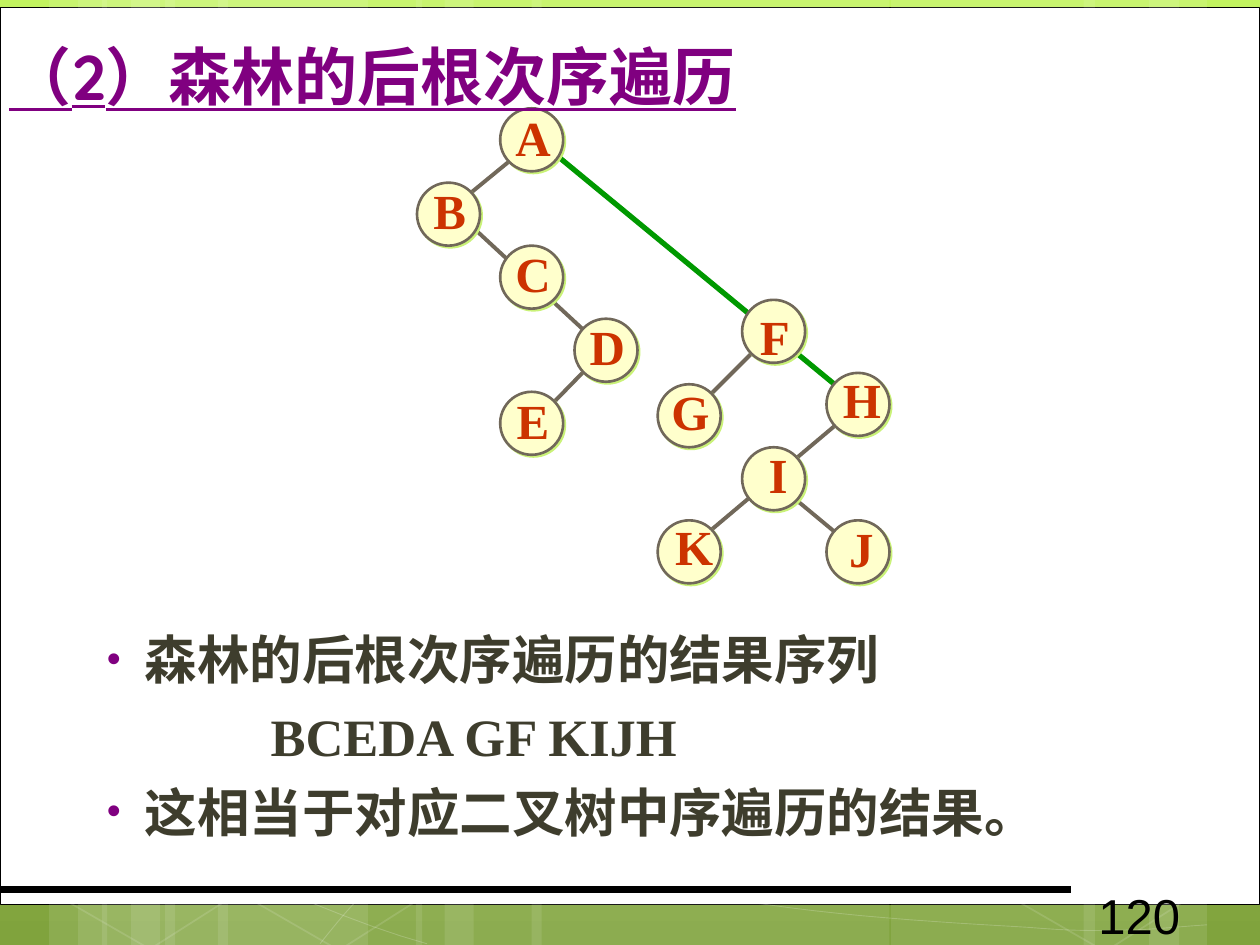
"""Build the slide on post-order traversal of a forest."""
from lxml import etree
from pptx import Presentation
from pptx.dml.color import RGBColor
from pptx.enum.shapes import MSO_CONNECTOR as LINK, MSO_SHAPE as SHAPE
from pptx.enum.text import MSO_ANCHOR as ANCHOR, PP_ALIGN as ALIGN
from pptx.oxml.ns import qn
from pptx.util import Inches, Pt

COLORS = {
    "top": "C2F35F", "base": "80A33D", "white": "FFFFFF", "black": "000000",
    "node": "FFFFCC", "edge": "71685A", "root": "009900", "glow": "CAF278",
    "letter": "CC3300", "title": "800080", "body": "3E3D2D",
}
SERIF = "Times New Roman"
BANDS = [(1.31, 1.61), (0.39, 0.46), (0.62, 0.77), (1.73, 1.62), (0.81, 0.46),
         (1.04, 0.77), (7.07, 1.62), (9.12, 0.46), (8.6, 0.76), (4.22, 2.84),
         (3.3, 0.46), (3.53, 0.77)]
CURVES = [
    [(0.36, 6.17), (1.47, 6.72), (2.58, 7.27), (3.39, 7.49)],
    [(0.37, 5.78), (0.66, 5.89), (0.95, 6), (1.49, 6.16), (2.02, 6.31),
     (2.82, 6.56), (3.59, 6.73), (4.36, 6.9), (5.33, 7.08), (6.09, 7.18),
     (6.85, 7.29), (7.67, 7.33), (8.16, 7.36), (8.64, 7.4), (8.77, 7.38),
     (9.01, 7.38), (9.24, 7.37), (9.41, 7.35), (9.58, 7.34)],
    [(2.54, 7.49), (2.7, 7.29), (2.86, 7.09), (3.09, 6.91)],
]
HEXES = [(0.41, 5.91), (1.91, 5.92), (7.99, 5.93)]
EDGES = [
    (4.39, 1.21, 6.72, 3.13, "root", 3), (4.72, 2.86, 4.31, 3.28, "edge", 2.25),
    (3.64, 1.7, 4.72, 2.7, "edge", 2.25), (4.14, 1.2, 3.64, 1.61, "edge", 2.25),
    (6.31, 3.96, 6.72, 4.3, "edge", 2.25), (6.72, 3.3, 5.64, 4.21, "edge", 2.25),
    (6.06, 2.71, 5.56, 3.21, "edge", 2.25),
]
NODES = {
    "A": (3.97, 0.86, 3.99, 0.8, 0.48), "B": (3.31, 1.45, 3.34, 1.38, 0.46),
    "C": (3.97, 1.95, 3.99, 1.88, 0.48), "D": (4.56, 2.53, 4.58, 2.46, 0.48),
    "E": (3.97, 3.11, 4, 3.05, 0.46), "F": (5.89, 2.38, 5.93, 2.38, 0.44),
    "G": (5.22, 3.05, 5.23, 2.98, 0.5), "H": (6.56, 2.96, 6.59, 2.88, 0.5),
    "I": (5.89, 3.55, 6, 3.48, 0.35), "J": (6.56, 4.13, 6.64, 4.06, 0.39),
    "K": (5.22, 4.13, 5.26, 4.05, 0.5),
}


def rgb(name):
    """Return a named colour."""
    return RGBColor.from_string(COLORS[name])


def fade(part, share):
    """Set the opacity, in percent, of a solid fill."""
    color = part.find(".//" + qn("a:srgbClr"))
    etree.SubElement(color, qn("a:alpha"), val=str(share * 1000))


def style(shape, fill=None, line=None, width=1):
    """Give a shape its fill and line, without a shadow."""
    shape.shadow.inherit = False
    if fill:
        shape.fill.solid()
        shape.fill.fore_color.rgb = rgb(fill)
    else:
        shape.fill.background()
    if line:
        shape.line.color.rgb = rgb(line)
        shape.line.width = Pt(width)
    else:
        shape.line.fill.background()


def add_shape(slide, kind, x, y, w, h, **look):
    """Add a styled preset shape."""
    shape = slide.shapes.add_shape(kind, Inches(x), Inches(y), Inches(w), Inches(h))
    style(shape, **look)
    return shape


def add_line(slide, x1, y1, x2, y2, color, width):
    """Add a straight line without a shadow."""
    line = slide.shapes.add_connector(
        LINK.STRAIGHT, Inches(x1), Inches(y1), Inches(x2), Inches(y2))
    line.line.color.rgb = rgb(color)
    line.line.width = Pt(width)
    etree.SubElement(line._element.spPr, qn("a:effectLst"))


def add_curve(slide, knots):
    """Add a faint curve through a chain of cubic segments."""
    spots = []
    for i in range(0, len(knots) - 1, 3):
        for step in range(1, 13):
            t = step / 12
            mix = ((1 - t) ** 3, 3 * t * (1 - t) ** 2, 3 * t * t * (1 - t), t ** 3)
            spots.append(tuple(
                Inches(sum(m * k[axis] for m, k in zip(mix, knots[i:i + 4])))
                for axis in (0, 1)))
    x, y = knots[0]
    pen = slide.shapes.build_freeform(Inches(x), Inches(y))
    pen.add_line_segments(spots, close=False)
    curve = pen.convert_to_shape()
    style(curve, line="white", width=0.5)
    fade(curve.line._ln, 20)


def set_font(para, name, size, color, bold=False):
    """Set the font of a paragraph."""
    font = para.font
    font.name, font.size, font.bold = name, Pt(size), bold
    font.color.rgb = rgb(color)


def add_text(slide, x, y, w, h, text, name, size, color, bold=False, wrap=True):
    """Add a text box of one paragraph and return its frame."""
    box = slide.shapes.add_textbox(Inches(x), Inches(y), Inches(w), Inches(h))
    frame = box.text_frame
    frame.word_wrap = wrap
    frame.text = text
    set_font(frame.paragraphs[0], name, size, color, bold)
    return frame


def add_node(slide, letter, x, y, left, top, wide):
    """Add a tree node with its letter."""
    disc = add_shape(slide, SHAPE.OVAL, x, y, 0.5, 0.5,
                     fill="node", line="edge", width=1.5)
    effects = disc._element.spPr.find(qn("a:effectLst"))
    glow = etree.SubElement(effects, qn("a:outerShdw"), dist=str(Pt(1.4)),
                            dir="2700000", algn="ctr", rotWithShape="0")
    etree.SubElement(glow, qn("a:srgbClr"), val=COLORS["glow"])
    frame = add_text(slide, left, top, wide, 0.57, letter, SERIF, 28,
                     "letter", True, wrap=False)
    frame.vertical_anchor = ANCHOR.MIDDLE
    frame.paragraphs[0].alignment = ALIGN.CENTER


def add_back(slide):
    """Draw the green ground, the white panel and the faint pattern."""
    fill = slide.background.fill
    fill.gradient()
    fill.gradient_angle = 270
    for stop, name in zip(fill.gradient_stops, ("top", "base")):
        stop.color.rgb = rgb(name)
    add_shape(slide, SHAPE.RECTANGLE, 0, 0.06, 10, 7.12,
              fill="white", line="black", width=0.5)
    for x, w in BANDS:
        band = add_shape(slide, SHAPE.RECTANGLE, x, 0, w, 7.5, fill="white")
        fade(band._element.spPr, 10)
    for knots in CURVES:
        add_curve(slide, knots)
    for x, y in HEXES:
        cell = add_shape(slide, SHAPE.HEXAGON, x, y, 1.61, 1.52, line="white")
        cell.adjustments[0] = 0.26
        cell.rotation = 30
        fade(cell.line._ln, 12)
    add_line(slide, 0, 7.06, 8.5, 7.06, "black", 4.5)


def add_body(slide):
    """Add the bulleted result text."""
    box = slide.shapes.add_textbox(Inches(0.67), Inches(4.93), Inches(9), Inches(2.05))
    frame = box.text_frame
    frame.word_wrap = True
    rows = [("森林的后根次序遍历的结果序列", True), ("BCEDA GF KIJH", False),
            ("这相当于对应二叉树中序遍历的结果。", True)]
    for i, (text, dot) in enumerate(rows):
        para = frame.add_paragraph() if i else frame.paragraphs[0]
        para.text = text
        props = para._p.get_or_add_pPr()
        props.set("marL", str(Inches(0.38 if dot else 1.38)))
        props.set("indent", str(Inches(-0.3 if dot else 0)))
        if i:
            para.space_before = Pt(7.5)
        if dot:
            tint = etree.SubElement(props, qn("a:buClr"))
            etree.SubElement(tint, qn("a:srgbClr"), val=COLORS["title"])
            etree.SubElement(props, qn("a:buSzPct"), val="76000")
            etree.SubElement(props, qn("a:buFont"), typeface="Arial")
            etree.SubElement(props, qn("a:buChar"), char="•")
        set_font(para, SERIF, 30, "body", True)


def main():
    """Build and save the slide."""
    deck = Presentation()
    deck.slide_width, deck.slide_height = Inches(10), Inches(7.5)
    slide = deck.slides.add_slide(deck.slide_layouts[6])
    add_back(slide)
    add_body(slide)
    add_text(slide, 8.62, 6.98, 1.46, 0.4, "120", "Arial", 28, "black")
    for edge in EDGES:
        add_line(slide, *edge)
    for letter, place in NODES.items():
        add_node(slide, letter, *place)
    title = add_text(slide, 0.07, 0.07, 9, 1.05, "（2）森林的后根次序遍历",
                     "Quicksand", 36, "title", True)
    title.vertical_anchor = ANCHOR.MIDDLE
    title.margin_left = title.margin_right = title.margin_top = title.margin_bottom = 0
    title.paragraphs[0].font.underline = True
    deck.save("out.pptx")


if __name__ == "__main__":
    main()
